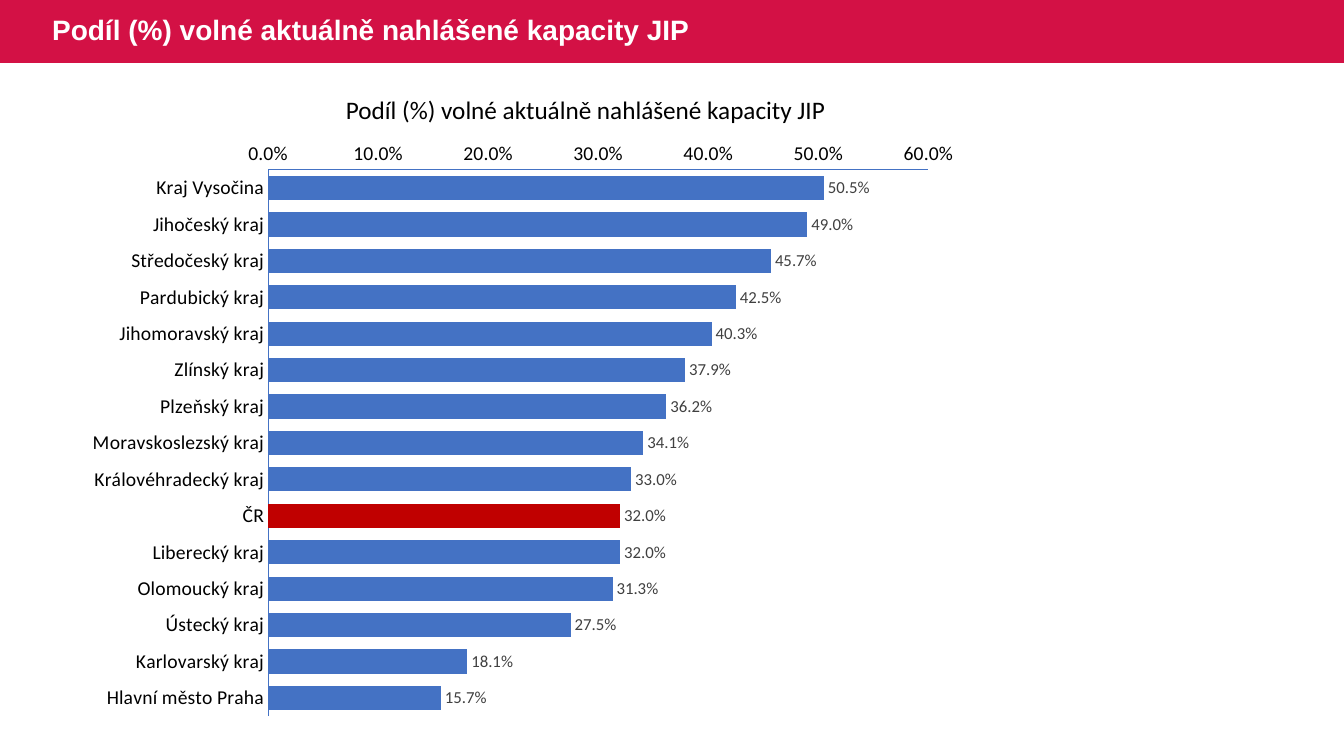
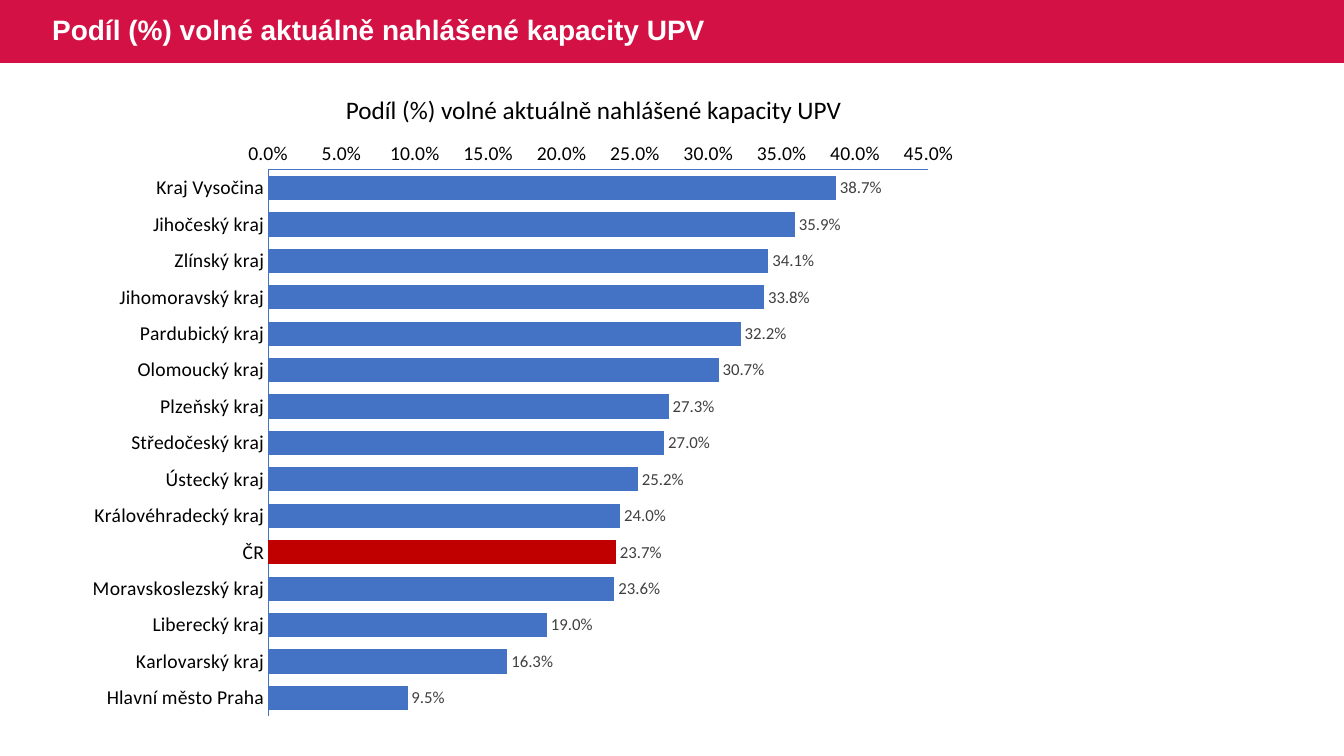
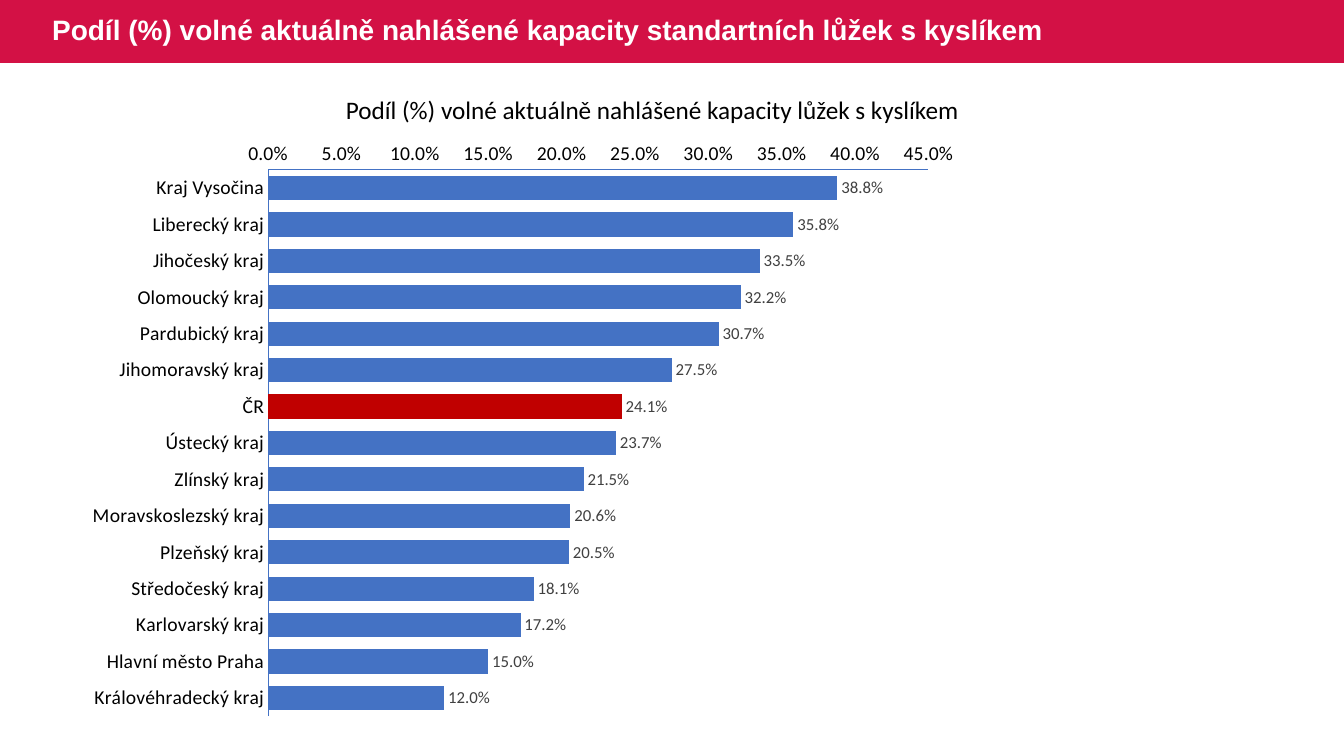
from lxml import etree
from pptx import Presentation
from pptx.chart.data import CategoryChartData
from pptx.dml.color import RGBColor
from pptx.enum import chart as ch, shapes, text
from pptx.oxml import parse_xml
from pptx.oxml.ns import nsdecls
from pptx.util import Pt

RED, BLUE, DARK_RED = "D31145", "4472C4", "C00000"
BLACK, GREY, WHITE = "000000", "404040", "FFFFFF"
COUNTRY = "ČR"
PERCENT = "0.0%"


def rgb(color):
    return RGBColor.from_string(color)


def style(font, size, color, name="Calibri"):
    font.size, font.name, font.color.rgb = Pt(size), name, rgb(color)


# title, chart heading, heading width, axis maximum, axis step, values in %
SLIDES = [
    ("Podíl (%) volné aktuálně nahlášené kapacity JIP",
     "Podíl (%) volné aktuálně nahlášené kapacity JIP", 369.5, 0.6, 0.1,
     [("Kraj Vysočina", 50.5), ("Jihočeský kraj", 49.0), ("Středočeský kraj", 45.7),
      ("Pardubický kraj", 42.5), ("Jihomoravský kraj", 40.3), ("Zlínský kraj", 37.9),
      ("Plzeňský kraj", 36.2), ("Moravskoslezský kraj", 34.1),
      ("Královéhradecký kraj", 33.0), (COUNTRY, 32.0), ("Liberecký kraj", 32.0),
      ("Olomoucký kraj", 31.3), ("Ústecký kraj", 27.5), ("Karlovarský kraj", 18.1),
      ("Hlavní město Praha", 15.7)]),
    ("Podíl (%) volné aktuálně nahlášené kapacity UPV",
     "Podíl (%) volné aktuálně nahlášené kapacity UPV", 372, 0.45, 0.05,
     [("Kraj Vysočina", 38.7), ("Jihočeský kraj", 35.9), ("Zlínský kraj", 34.1),
      ("Jihomoravský kraj", 33.8), ("Pardubický kraj", 32.2), ("Olomoucký kraj", 30.7),
      ("Plzeňský kraj", 27.3), ("Středočeský kraj", 27.0), ("Ústecký kraj", 25.2),
      ("Královéhradecký kraj", 24.0), (COUNTRY, 23.7), ("Moravskoslezský kraj", 23.6),
      ("Liberecký kraj", 19.0), ("Karlovarský kraj", 16.3),
      ("Hlavní město Praha", 9.5)]),
    ("Podíl (%) volné aktuálně nahlášené kapacity standartních lůžek s kyslíkem",
     "Podíl (%) volné aktuálně nahlášené kapacity lůžek s kyslíkem", 457, 0.45, 0.05,
     [("Kraj Vysočina", 38.8), ("Liberecký kraj", 35.8), ("Jihočeský kraj", 33.5),
      ("Olomoucký kraj", 32.2), ("Pardubický kraj", 30.7), ("Jihomoravský kraj", 27.5),
      (COUNTRY, 24.1), ("Ústecký kraj", 23.7), ("Zlínský kraj", 21.5),
      ("Moravskoslezský kraj", 20.6), ("Plzeňský kraj", 20.5),
      ("Středočeský kraj", 18.1), ("Karlovarský kraj", 17.2),
      ("Hlavní město Praha", 15.0), ("Královéhradecký kraj", 12.0)]),
]

prs = Presentation()
prs.slide_width, prs.slide_height = Pt(960), Pt(540)
layout = prs.slide_layouts[5]
title = layout.placeholders[0]
title.left, title.top, title.width, title.height = Pt(30), Pt(0), Pt(832), Pt(45)

for number, (heading, chart_heading, width, top_value, step, rows) in enumerate(SLIDES):
    s = prs.slides.add_slide(layout)

    # The band is drawn once and moved to the layout, behind the title
    if number == 0:
        band = s.shapes.add_shape(shapes.MSO_SHAPE.RECTANGLE, 0, 0, prs.slide_width, Pt(45))
        band.shadow.inherit = False
        band.fill.solid()
        band.fill.fore_color.rgb = rgb(RED)
        band.line.fill.background()
        layout.shapes._spTree.insert(2, band._element)

    tf = s.shapes.title.text_frame
    tf.text = heading
    tf.auto_size = text.MSO_AUTO_SIZE.NONE
    tf.vertical_anchor = text.MSO_ANCHOR.MIDDLE
    p = tf.paragraphs[0]
    p.alignment, p.line_spacing = text.PP_ALIGN.LEFT, 0.9
    style(p.runs[0].font, 20, WHITE, "Arial")
    p.runs[0].font.bold = True

    data = CategoryChartData(number_format=PERCENT)
    data.categories = [region for region, _ in rows]
    data.add_series("Series 1", [round(value / 100, 3) for _, value in rows])
    chart = s.shapes.add_chart(ch.XL_CHART_TYPE.BAR_CLUSTERED, Pt(53.3), Pt(93.6),
                               Pt(640), Pt(427), data).chart
    chart.has_legend = chart.has_title = False
    style(chart.font, 10, BLACK)

    for axis in (chart.category_axis, chart.value_axis):
        axis.major_tick_mark = axis.minor_tick_mark = ch.XL_TICK_MARK.NONE
        axis.has_major_gridlines = False
        axis.format.line.color.rgb = rgb(BLUE)
        axis.format.line.width = Pt(0.75)
        style(axis.tick_labels.font, 14, BLACK)
    chart.category_axis.reverse_order = True
    axis = chart.value_axis
    axis.minimum_scale, axis.maximum_scale, axis.major_unit = 0, top_value, step
    axis.tick_labels.number_format = PERCENT
    axis.tick_labels.number_format_is_linked = False

    plot = chart.plots[0]
    plot.gap_width = 50
    plot.vary_by_categories = False
    plot.has_data_labels = True
    labels = plot.data_labels
    labels.show_value = True
    labels.number_format, labels.number_format_is_linked = PERCENT, False
    labels.position = ch.XL_LABEL_POSITION.OUTSIDE_END
    style(labels.font, 12, GREY)

    series = plot.series[0]
    series.format.fill.solid()
    series.format.fill.fore_color.rgb = rgb(BLUE)
    country = [region for region, _ in rows].index(COUNTRY)
    fill = series.points[country].format.fill
    fill.solid()
    fill.fore_color.rgb = rgb(DARK_RED)

    # Fixed inner plot area, as fractions of the chart
    area = chart._chartSpace.chart.plotArea
    for old in area.findall("{*}layout"):
        area.remove(old)
    place = parse_xml(f'<c:layout {nsdecls("c")}><c:manualLayout/></c:layout>')
    for tag, val in (("layoutTarget", "inner"), ("xMode", "edge"), ("yMode", "edge"),
                     ("x", "0.216"), ("y", "0.065"), ("w", "0.737"), ("h", "0.914")):
        etree.SubElement(place[0], place.tag.replace("layout", tag)).set("val", val)
    area.insert(0, place)

    tf = s.shapes.add_textbox(Pt(240), Pt(64), Pt(width), Pt(29)).text_frame
    tf.word_wrap = False
    tf.auto_size = text.MSO_AUTO_SIZE.SHAPE_TO_FIT_TEXT
    tf.text = chart_heading
    style(tf.paragraphs[0].runs[0].font, 18, BLACK)

prs.save("out.pptx")
